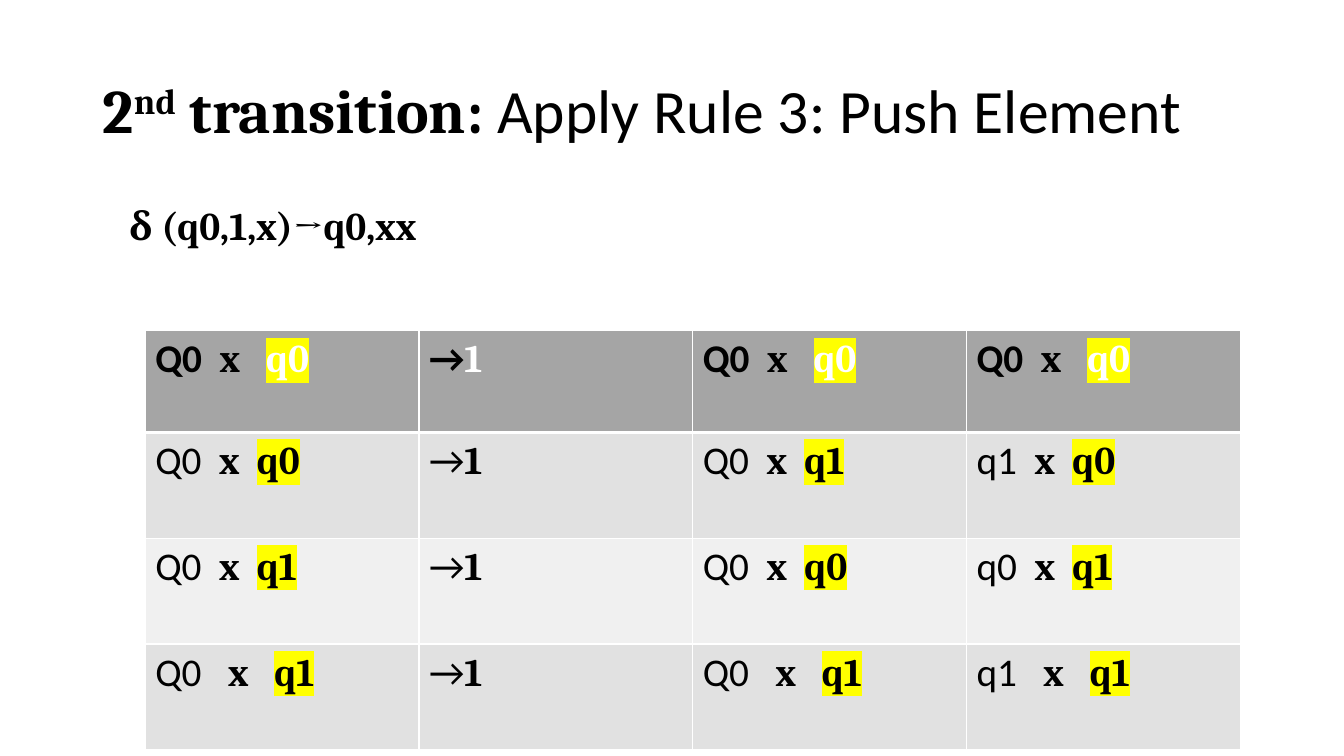
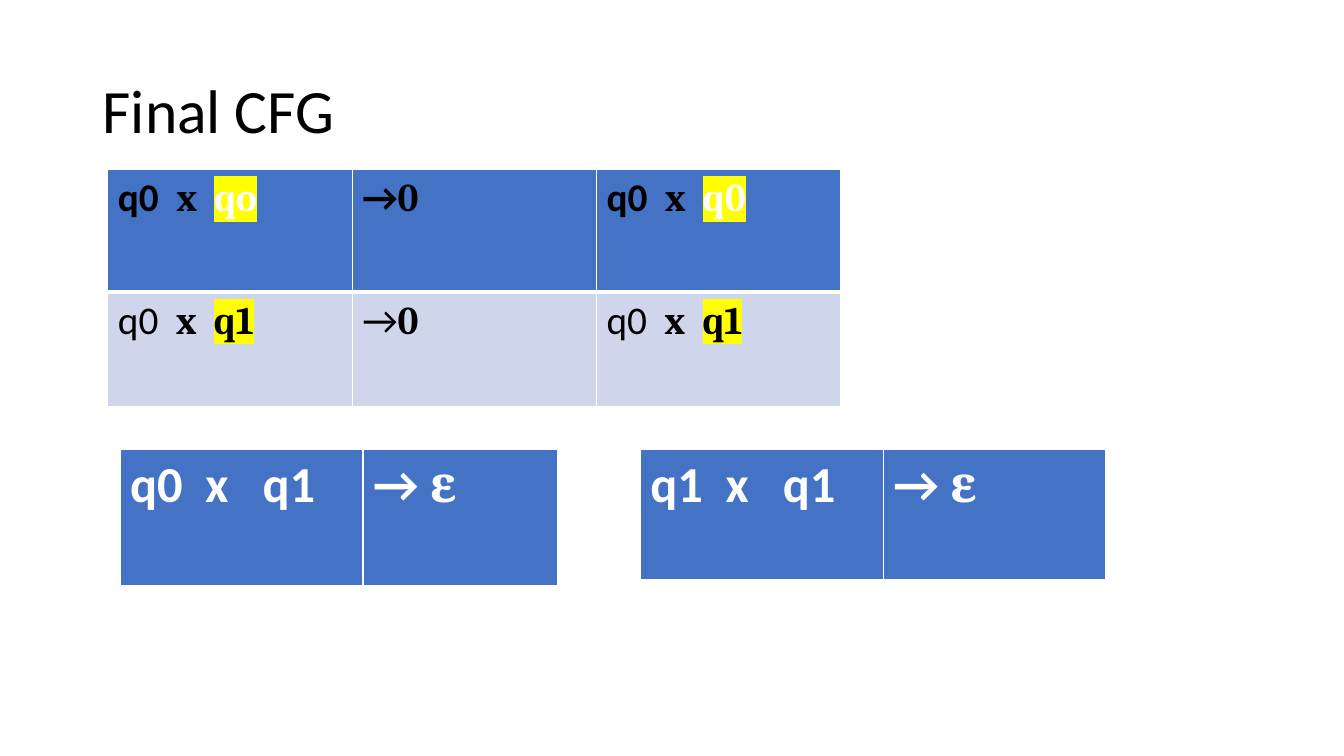
"""Build two slides on turning a pushdown automaton into a grammar."""
from lxml import etree
from pptx import Presentation
from pptx.dml.color import RGBColor
from pptx.enum import text
from pptx.oxml import ns
from pptx.util import Inches, Pt

COLOURS = {
    "black": "000000", "white": "FFFFFF", "yellow": "FFFF00",
    "grey": "A5A5A5", "grey_dark": "E1E1E1", "grey_light": "F0F0F0",
    "blue": "4472C4", "blue_light": "CFD5EA",
}
SANS, SERIF = "Calibri", "Cambria"

STYLES = {
    "sans": dict(font=SANS),
    "sans_bold": dict(font=SANS, bold=True),
    "serif": dict(font=SERIF, bold=True),
    "raised": dict(font=SERIF, bold=True, baseline=30),
    "mark": dict(font=SERIF, bold=True, highlight="yellow"),
    "sans_white": dict(font=SANS, bold=True, colour="white"),
    "serif_white": dict(font=SERIF, bold=True, colour="white"),
    "mark_white": dict(font=SERIF, bold=True, colour="white", highlight="yellow"),
}


def triple(first, second, gaps=(2, 2), header=False):
    """Return the runs of a state, stack symbol and state cell."""
    return [
        (first + " " * gaps[0], "sans_bold" if header else "sans"),
        ("x" + " " * gaps[1], "serif"),
        (second, "mark_white" if header else "mark"),
    ]


def arrow(symbol, header=False, symbol_style="serif"):
    """Return the runs of a production arrow cell."""
    return [("→", "sans_bold" if header else "sans"), (symbol, symbol_style)]


def epsilon_row(states):
    """Return one row that derives the empty word."""
    return [[(states, "sans_white")], [("→ ", "sans_white"), ("ε", "serif_white")]]


HEAD = triple("Q0", "q0", (2, 3), True)
PUSH_ROWS = [
    [HEAD, arrow("1", True, "serif_white"), HEAD, HEAD],
    [triple("Q0", "q0"), arrow("1"), triple("Q0", "q1"), triple("q1", "q0")],
    [triple("Q0", "q1"), arrow("1"), triple("Q0", "q0"), triple("q0", "q1")],
    [triple("Q0", "q1", (3, 3)), arrow("1"),
     triple("Q0", "q1", (3, 3)), triple("q1", "q1", (3, 3))],
]
FINAL_ROWS = [
    [triple("q0", "qo", header=True), arrow("0", True), triple("q0", "q0", header=True)],
    [triple("q0", "q1"), arrow("0"), triple("q0", "q1")],
]

SLIDES = [
    {
        "title": [("2", "serif"), ("nd", "raised"), (" transition: ", "serif"),
                  ("Apply Rule 3: Push Element", "sans")],
        "body": [("δ (q0,1,x)→q0,xx", "serif")],
        "tables": [
            dict(at=(1.44, 3.28), columns=[10.86 / 4] * 4, heights=[1.01] + [1.05] * 3,
                 rows=PUSH_ROWS, fills=["grey", "grey_dark", "grey_light", "grey_dark"]),
        ],
    },
    {
        "title": [("Final CFG", "sans")],
        "tables": [
            dict(at=(1.07, 1.68), columns=[7.27 / 3] * 3, heights=[1.22, 1.13],
                 rows=FINAL_ROWS, fills=["blue", "blue_light"]),
            dict(at=(1.19, 4.46), columns=[2.41, 1.93], heights=[1.36],
                 rows=[epsilon_row("q0  x   q1")], fills=["blue"], size=36),
            dict(at=(6.35, 4.46), columns=[2.41, 2.21], heights=[1.3],
                 rows=[epsilon_row("q1  x   q1")], fills=["blue"], size=36),
        ],
    },
]


def rgb(name):
    return RGBColor.from_string(COLOURS[name])


def add_colour(parent, tag, name):
    holder = etree.SubElement(parent, ns.qn(tag))
    etree.SubElement(holder, ns.qn("a:srgbClr"), val=COLOURS[name])


def add_run(paragraph, words, size, font, bold=False, colour="black",
            highlight=None, baseline=0):
    run = paragraph.add_run()
    run.text = words
    run.font.size = Pt(size)
    run.font.bold = bold
    run.font.color.rgb = rgb(colour)
    properties = run.font._element
    if highlight:
        add_colour(properties, "a:highlight", highlight)
    if baseline:
        properties.set("baseline", str(baseline * 1000))
    run.font.name = font


def add_runs(paragraph, runs, size):
    for words, style in runs:
        add_run(paragraph, words, size, **STYLES[style])


def add_text(slide, runs, box, size, anchor, indent=0, space_before=0):
    frame = slide.shapes.add_textbox(*map(Inches, box)).text_frame
    frame.word_wrap = True
    frame.vertical_anchor = anchor
    paragraph = frame.paragraphs[0]
    paragraph.line_spacing = 0.9
    paragraph.space_before = Pt(space_before)
    paragraph._p.get_or_add_pPr().set("marL", str(Inches(indent)))
    add_runs(paragraph, runs, size)


def set_borders(cell, row):
    properties = cell._tc.get_or_add_tcPr()
    widths = {"L": 1, "R": 1, "T": 3 if row == 1 else 1, "B": 3 if row == 0 else 1}
    for side, width in widths.items():
        line = etree.SubElement(properties, ns.qn("a:ln" + side), w=str(Pt(width)))
        add_colour(line, "a:solidFill", "white")


def add_table(slide, at, columns, heights, rows, fills, size=28):
    box = (*at, sum(columns), sum(heights))
    table = slide.shapes.add_table(len(rows), len(columns), *map(Inches, box)).table
    table.first_row = table.horz_banding = False
    for column, width in zip(table.columns, columns):
        column.width = Inches(width)
    for row, (cells, height, fill) in enumerate(zip(rows, heights, fills)):
        table.rows[row].height = Inches(height)
        for column, runs in enumerate(cells):
            cell = table.cell(row, column)
            set_borders(cell, row)
            cell.fill.solid()
            cell.fill.fore_color.rgb = rgb(fill)
            add_runs(cell.text_frame.paragraphs[0], runs, size)


def main():
    presentation = Presentation()
    presentation.slide_width = Inches(13.33)
    presentation.slide_height = Inches(7.5)
    for content in SLIDES:
        slide = presentation.slides.add_slide(presentation.slide_layouts[6])
        add_text(slide, content["title"], (0.92, 0.4, 11.5, 1.45), 44,
                 text.MSO_ANCHOR.MIDDLE)
        if "body" in content:
            add_text(slide, content["body"], (0.92, 2, 11.5, 4.76), 28,
                     text.MSO_ANCHOR.TOP, indent=0.26, space_before=10)
        for table in content["tables"]:
            add_table(slide, **table)
    presentation.save("out.pptx")


if __name__ == "__main__":
    main()
